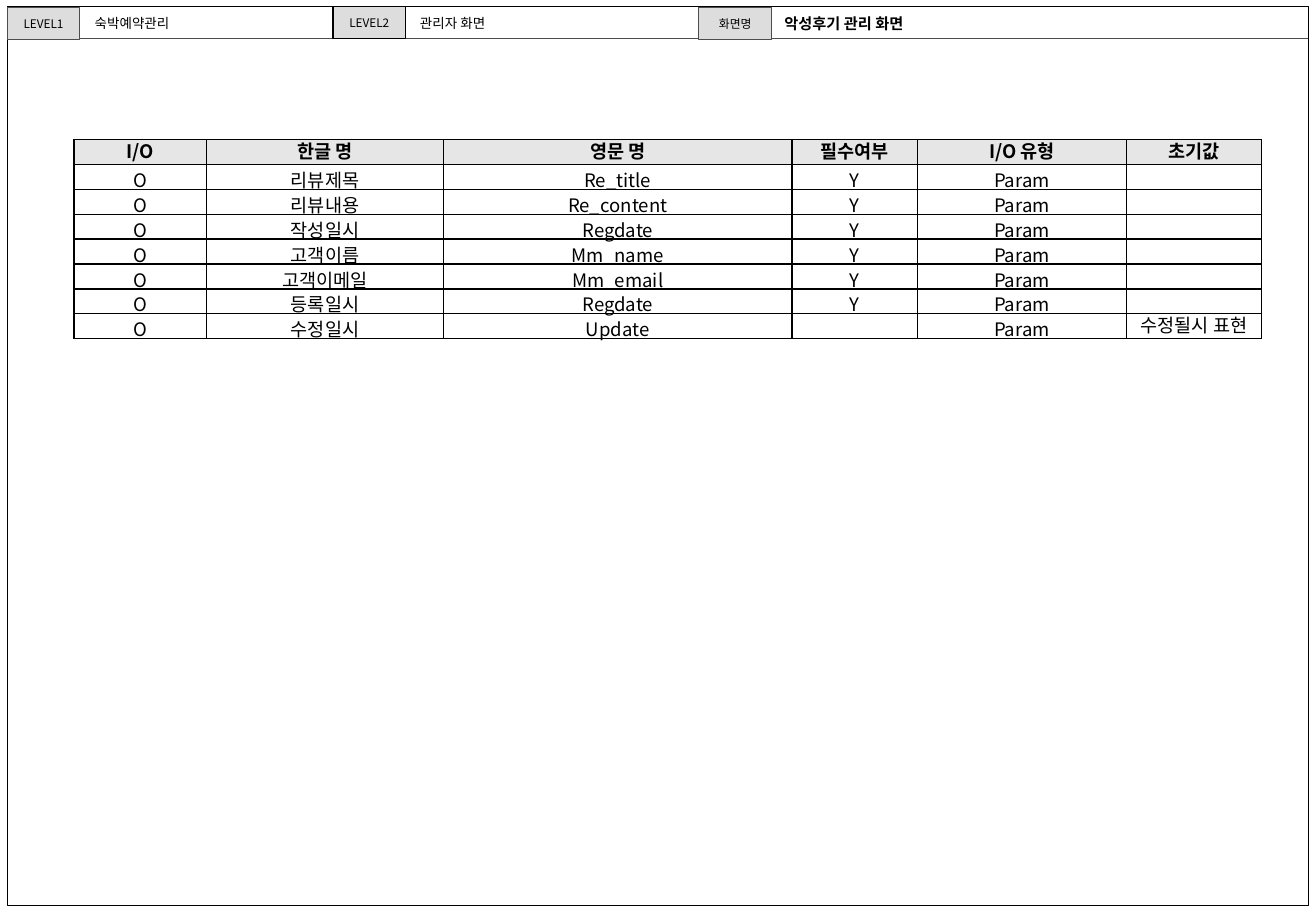
from pptx import Presentation
from pptx import util as u
from pptx.dml.color import RGBColor
from pptx.enum import shapes, text
from pptx.oxml import parse_xml
from pptx.oxml.ns import nsdecls

NOTO = "Noto Sans CJK KR"
BLACK, DARK = "000000", "4D4D4D"
TAGS = [
    (0.15, 0.15, "LEVEL1", DARK),
    (14.61, 0.15, "화면명", DARK),
    (6.96, 0.13, "LEVEL2", BLACK),
]
NAMES = [
    (1.73, 0.18, 5.05, 0.61, "숙박예약관리", 8, "Arial", False),
    (8.53, 0.2, 5.05, 0.61, "관리자 화면", 8, "Arial", False),
    (16.15, 0.18, 4.62, 0.64, "악성후기 관리 화면", 9, NOTO, True),
]
COLS = [2.77, 4.95, 7.29, 2.62, 4.37, 2.82]
HEAD = ["I/O", "한글 명", "영문 명", "필수여부", "I/O 유형", "초기값"]
FIELDS = [
    ("리뷰제목", "Re_title", "Y", ""),
    ("리뷰내용", "Re_content", "Y", ""),
    ("작성일시", "Regdate", "Y", ""),
    ("고객이름", "Mm_name", "Y", ""),
    ("고객이메일", "Mm_email", "Y", ""),
    ("등록일시", "Regdate", "Y", ""),
    ("수정일시", "Update", "", "수정될시 표현"),
]


def tint(code):
    return RGBColor.from_string(code)


class Page:
    def __init__(self, slide):
        self.items = slide.shapes
        self.width = u.Pt(0.75)

    def letter(self, para, words, size, font=NOTO, bold=False, align=None):
        para.text = words
        para.alignment = align
        para.font.size = u.Pt(size)
        para.font.name = font
        para.font.bold = bold
        para.font.color.rgb = tint(BLACK)

    def box(self, x, y, w, h, line, fill=None, words=""):
        box = self.items.add_shape(
            shapes.MSO_SHAPE.RECTANGLE, u.Cm(x), u.Cm(y), u.Cm(w), u.Cm(h))
        box.shadow.inherit = False
        box.line.color.rgb = tint(line)
        box.line.width = self.width
        if fill:
            box.fill.solid()
            box.fill.fore_color.rgb = tint(fill)
        else:
            box.fill.background()
        if words:
            frame = box.text_frame
            frame.vertical_anchor = text.MSO_ANCHOR.MIDDLE
            self.letter(frame.paragraphs[0], words, 7, align=text.PP_ALIGN.CENTER)

    def rule(self, x, y, end, color):
        line = self.items.add_connector(
            shapes.MSO_CONNECTOR.STRAIGHT, u.Cm(x), u.Cm(y), u.Cm(end), u.Cm(y))
        line.line.color.rgb = tint(color)
        line.line.width = self.width
        line._element.spPr.append(parse_xml(f"<a:effectLst {nsdecls('a')}/>"))

    def label(self, x, y, w, h, words, size, font, bold):
        box = self.items.add_textbox(u.Cm(x), u.Cm(y), u.Cm(w), u.Cm(h))
        box.text_frame.word_wrap = True
        self.letter(box.text_frame.paragraphs[0], words, size, font, bold)

    def cell(self, cell, words, head, tight):
        if head:
            cell.fill.solid()
            cell.fill.fore_color.rgb = tint("E6E6E6")
        else:
            cell.fill.background()
        cell.vertical_anchor = text.MSO_ANCHOR.MIDDLE
        cell.margin_left = cell.margin_right = u.Cm(0.03 if tight else 0.18)
        cell.margin_top = u.Cm(0.03 if tight else 0)
        cell.margin_bottom = 0
        para = cell.text_frame.paragraphs[0]
        self.letter(para, words, 11, bold=head, align=text.PP_ALIGN.CENTER)
        if not tight:
            para.line_spacing = u.Pt(14)
        if not words:
            para._p.get_or_add_endParaRPr().set("sz", "800")
        props = cell._tc.get_or_add_tcPr()
        for spot, side in enumerate(("lnL", "lnR", "lnT", "lnB")):
            props.insert(spot, parse_xml(
                f'<a:{side} {nsdecls("a")} w="{u.Pt(1)}"><a:solidFill>'
                f'<a:srgbClr val="{BLACK}"/></a:solidFill></a:{side}>'))

    def table(self, x, y, cols, high, rows):
        grid = self.items.add_table(
            len(rows), len(cols), u.Cm(x), u.Cm(y),
            u.Cm(sum(cols)), u.Cm(high * len(rows))).table
        grid.horz_banding = False
        for col, wide in zip(grid.columns, cols):
            col.width = u.Cm(wide)
        for r, row in enumerate(rows):
            grid.rows[r].height = u.Cm(high)
            for c, words in enumerate(row):
                tight = r > 0 and c < len(cols) - 1
                self.cell(grid.cell(r, c), words, r == 0, tight)


def main():
    deck = Presentation()
    deck.slide_width, deck.slide_height = u.Cm(27.51), u.Cm(19.05)
    page = Page(deck.slides.add_slide(deck.slide_layouts[6]))
    page.box(0.15, 0.13, 27.2, 18.8, BLACK)
    page.rule(0.18, 0.81, 27.35, DARK)
    for x, y, words, line in TAGS:
        page.box(x, y, 1.52, 0.68, line, "DDDDDD", words)
    for name in NAMES:
        page.label(*name)
    rows = [HEAD] + [["O", *names, need, "Param", start]
                     for *names, need, start in FIELDS]
    page.table(1.55, 2.92, COLS, 0.52, rows)
    deck.save("out.pptx")


if __name__ == "__main__":
    main()
